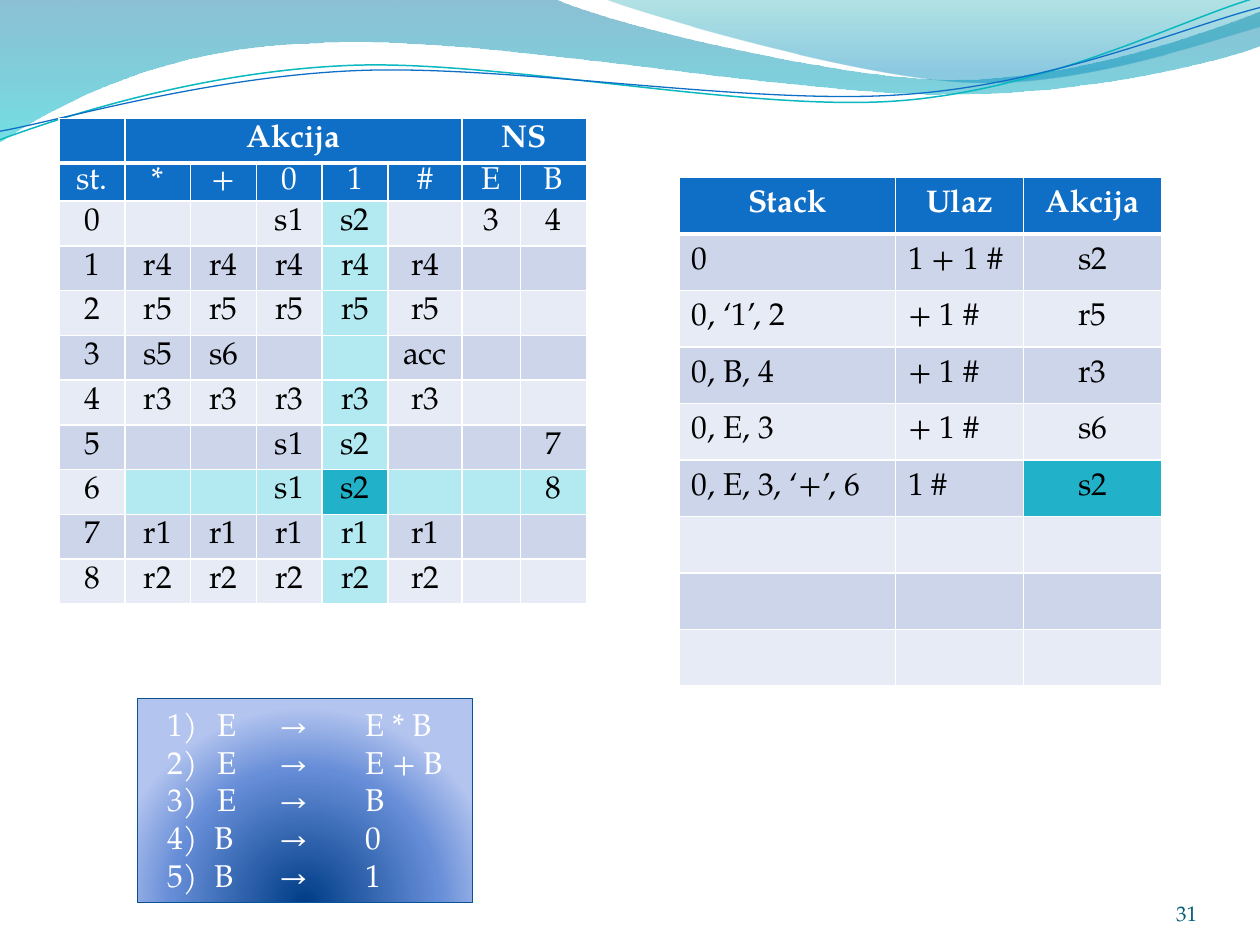
from dataclasses import dataclass

from lxml import etree
from pptx import Presentation
from pptx.dml.color import RGBColor
from pptx.enum.shapes import MSO_SHAPE
from pptx.enum.text import MSO_ANCHOR, MSO_AUTO_SIZE, PP_ALIGN
from pptx.oxml.ns import qn
from pptx.util import Pt

RECTANGLE = MSO_SHAPE.RECTANGLE
MIDDLE, TOP, BOTTOM = MSO_ANCHOR.MIDDLE, MSO_ANCHOR.TOP, MSO_ANCHOR.BOTTOM
LEFT, CENTER, RIGHT = PP_ALIGN.LEFT, PP_ALIGN.CENTER, PP_ALIGN.RIGHT
GROW = MSO_AUTO_SIZE.SHAPE_TO_FIT_TEXT


@dataclass(frozen=True)
class Theme:
    font: str = "TeX Gyre Pagella"
    body_size: float = 18
    number_size: float = 12
    white: str = "FFFFFF"
    black: str = "000000"
    blue: str = "0F6FC6"
    teal: str = "0AB8BF"
    light_band: str = "E7EBF5"
    dark_band: str = "CCD5EA"
    trace: str = "B3EAF2"
    hit: str = "21B2C9"
    number: str = "045D75"
    grammar_line: str = "095295"
    # Gradient stops: position %, colour, opacity %
    left_wave: tuple = ((0, "0074A1", 45), (100, "00C6CF", 55))
    right_wave: tuple = ((0, "00A1A9", 30), (80, "008BBF", 45))
    grammar: tuple = ((0, "003D87", 100), (68, "668DD7", 100), (100, "B3C4EF", 100))


@dataclass(frozen=True)
class Box:
    left: float
    top: float
    width: float
    height: float

    def lengths(self):
        return Pt(self.left), Pt(self.top), Pt(self.width), Pt(self.height)


THEME = Theme()

# Each segment lists the points after the current one: one for a line, three for a curve.
LEFT_WAVE = [(0, 0), [(316.8, -0.7)],
             [(342.7, 12.2), (478.1, 45.4), (545.8, 45.4)],
             [(614.2, 45.4), (689.8, 18.7), (720, 6.5)], [(720.7, 25.9)],
             [(707.8, 31.7), (626.4, 54.7), (537.1, 54)],
             [(447.8, 54), (275, 20.2), (185, 24.5)],
             [(92.9, 25.9), (33.1, 59.8), (-0.7, 81.4)]]
RIGHT_WAVE = [(344.9, -0.7), [(366.5, 7.9), (491, 44.6), (553.7, 46.8)],
              [(616.3, 49.7), (691.9, 23), (720, 15.1)], [(720, 0)]]
LINE_TILT = -2.7
TEAL_LINE = [(-1.4, 62.9), [(33.8, 51.7), (114.1, 29.4), (199.8, 29.9)],
             [(284.9, 30.3), (425.8, 67.3), (512.4, 64.9)],
             [(599, 62.4), (676.5, 25.7), (720.2, 15.5)]]
BLUE_LINE = [(-1.1, 58), [(32.9, 53.7), (118.3, 32.5), (204.1, 33)],
             [(290.6, 33.4), (428.9, 63.8), (515.5, 61.4)],
             [(601.3, 59.6), (678.4, 30.1), (721.4, 21.3)]]

PARSER_ROWS = ["|Akcija|||||NS|", "st.|*|+|0|1|#|E|B",
               "0|||s1|s2||3|4", "1|r4|r4|r4|r4|r4||", "2|r5|r5|r5|r5|r5||",
               "3|s5|s6|||acc||", "4|r3|r3|r3|r3|r3||", "5|||s1|s2|||7",
               "6|||s1|s2|||8", "7|r1|r1|r1|r1|r1||", "8|r2|r2|r2|r2|r2||"]
STACK_ROWS = ["Stack|Ulaz|Akcija", "0|1 + 1 #|s2", "0, ‘1’, 2|+ 1 #|r5",
              "0, B, 4|+ 1 #|r3", "0, E, 3|+ 1 #|s6", "0, E, 3, ‘+’, 6|1 #|s2",
              "||", "||", "||"]
TYPED_RULES = ["1) \tE\t→\tE * B", "2) \tE\t→ \tE + B", "3) \tE\t→ \tB"]
NUMBERED_RULES = ["B\t→\t0", "B\t→\t1"]


def rgb(color):
    return RGBColor.from_string(color)


def child(parent, tag, **attributes):
    return etree.SubElement(parent, qn(tag), {k: str(v) for k, v in attributes.items()})


def color_child(parent, color, opacity=100):
    element = child(parent, "a:srgbClr", val=color)
    if opacity < 100:
        child(element, "a:alpha", val=opacity * 1000)


def gradient(shape, stops):
    """Add the stops right after the geometry and return the gradient, still without direction."""
    fill = etree.Element(qn("a:gradFill"), rotWithShape="1")
    stop_list = child(fill, "a:gsLst")
    for position, color, opacity in stops:
        color_child(child(stop_list, "a:gs", pos=position * 1000), color, opacity)
    shape.element.spPr[1].addnext(fill)
    return fill


def style_text(paragraph, size, color, bold=False):
    for run in paragraph.runs:
        font = run.font
        font.name, font.size, font.bold = THEME.font, Pt(size), bold
        font.color.rgb = rgb(color)


def curve(slide, box, outline, close):
    """Build the outline through all its points, then join each three steps of a curve into one."""
    start, *segments = outline
    points = [start] + [point for segment in segments for point in segment]
    placed = [(Pt(box.left + x), Pt(box.top + y)) for x, y in points]
    builder = slide.shapes.build_freeform(*placed[0])
    builder.add_line_segments(placed[1:], close=close)
    shape = builder.convert_to_shape()
    shape.shadow.inherit = False
    steps = iter(list(shape.element.spPr.iter(qn("a:lnTo"))))
    for segment in segments:
        group = [next(steps) for _ in segment]
        if len(group) == 3:
            bezier = etree.Element(qn("a:cubicBezTo"))
            group[0].addprevious(bezier)
            for step in group:
                bezier.append(step[0])
                step.getparent().remove(step)
    return shape


def wave_banner(slide, box):
    for outline, stops in ((LEFT_WAVE, THEME.left_wave), (RIGHT_WAVE, THEME.right_wave)):
        wave = curve(slide, box, outline, close=True)
        child(gradient(wave, stops), "a:lin", ang=90 * 60000, scaled=0)
        wave.line.fill.background()
    for outline, color, width in ((TEAL_LINE, THEME.teal, 0.85), (BLUE_LINE, THEME.blue, 0.75)):
        line = curve(slide, box, outline, close=False)
        line.rotation = LINE_TILT
        line.fill.background()
        line.line.color.rgb = rgb(color)
        line.line.width = Pt(width)


def cell_borders(cell, row):
    """White borders, heavier on the edge below the first row."""
    heavy = {"a:lnT": row == 1, "a:lnB": row == 0}
    for tag in ("a:lnL", "a:lnR", "a:lnT", "a:lnB"):
        line = child(cell._tc.get_or_add_tcPr(), tag, w=Pt(3 if heavy.get(tag) else 1))
        color_child(child(line, "a:solidFill"), THEME.white)


def grid_table(slide, box, rows, widths, row_height, headers=1, spans=(), left_columns=(),
               marks=None, padding=3.6):
    frame = slide.shapes.add_table(len(rows), len(widths), *box.lengths())
    table = frame.table
    for column, width in zip(table.columns, widths):
        column.width = Pt(width)
    for r, row in enumerate(rows):
        table.rows[r].height = Pt(row_height)
        band = THEME.dark_band if r % 2 else THEME.light_band
        for c, text in enumerate(row.split("|")):
            cell = table.cell(r, c)
            cell_borders(cell, r)
            cell.fill.solid()
            cell.fill.fore_color.rgb = rgb(
                THEME.blue if r < headers else (marks or {}).get((r, c), band))
            cell.margin_top = cell.margin_bottom = Pt(padding)
            cell.vertical_anchor = MIDDLE
            cell.text = text
            paragraph = cell.text_frame.paragraphs[0]
            paragraph.alignment = LEFT if r >= headers and c in left_columns else CENTER
            style_text(paragraph, THEME.body_size,
                       THEME.white if r < headers else THEME.black, bold=r == 0)
    for first, last in spans:
        table.cell(0, first).merge(table.cell(0, last))
    frame.height = Pt(box.height)


def grammar_box(slide, box):
    panel = slide.shapes.add_shape(RECTANGLE, *box.lengths())
    direction = child(gradient(panel, THEME.grammar), "a:path", path="circle")
    child(direction, "a:fillToRect", l=50000, t=130000, r=50000, b=-30000)
    panel.line.color.rgb = rgb(THEME.grammar_line)
    panel.line.width = Pt(0.75)
    panel.shadow.inherit = False

    frame = panel.text_frame
    frame.word_wrap = True
    frame.auto_size = GROW
    frame.vertical_anchor = TOP
    frame.margin_left = Pt(17.2)
    frame.text = "\n".join(["\v".join(TYPED_RULES), *NUMBERED_RULES])
    for index, paragraph in enumerate(frame.paragraphs):
        properties = paragraph._p.get_or_add_pPr()
        if index:
            properties.set("marL", str(Pt(27)))
            properties.set("indent", str(Pt(-27)))
            child(properties, "a:buAutoNum", type="arabicParenR", startAt=len(TYPED_RULES) + 1)
        tabs = child(properties, "a:tabLst")
        for position in (28.8, 64, 113):
            child(tabs, "a:tab", pos=Pt(position), algn="l")
        paragraph.alignment = LEFT
        style_text(paragraph, THEME.body_size, THEME.white)


def slide_number(slide, box, number):
    frame = slide.shapes.add_textbox(*box.lengths()).text_frame
    frame.word_wrap = True
    frame.margin_left = frame.margin_top = frame.margin_right = frame.margin_bottom = 0
    frame.vertical_anchor = BOTTOM
    frame.text = number
    frame.paragraphs[0].alignment = RIGHT
    style_text(frame.paragraphs[0], THEME.number_size, THEME.number)


def main():
    presentation = Presentation()
    presentation.slide_width, presentation.slide_height = Pt(720), Pt(540)
    slide = presentation.slides.add_slide(presentation.slide_layouts[6])

    wave_banner(slide, Box(0, 0, 720, 82))
    active_row, active_column = 8, 4
    marks = {(r, active_column): THEME.trace for r in range(2, len(PARSER_ROWS))}
    marks |= {(active_row, c): THEME.trace for c in range(1, 8)}
    marks[active_row, active_column] = THEME.hit
    grid_table(slide, Box(33.8, 67.6, 301.7, 316.8), PARSER_ROWS,
               [37.6] * 5 + [42.4, 33.2, 38], row_height=20.9, headers=2,
               spans=((1, 5), (6, 7)), marks=marks, padding=1.8)
    slide_number(slide, Box(624, 500.4, 60, 28.8), "31")
    grammar_box(slide, Box(78.4, 399.2, 191.6, 116.6))
    grid_table(slide, Box(388.1, 101.4, 275.7, 290.9), STACK_ROWS, [123.6, 73.3, 78.8],
               row_height=32.3, left_columns=(0, 1), marks={(5, 2): THEME.hit})
    presentation.save("out.pptx")


if __name__ == "__main__":
    main()
